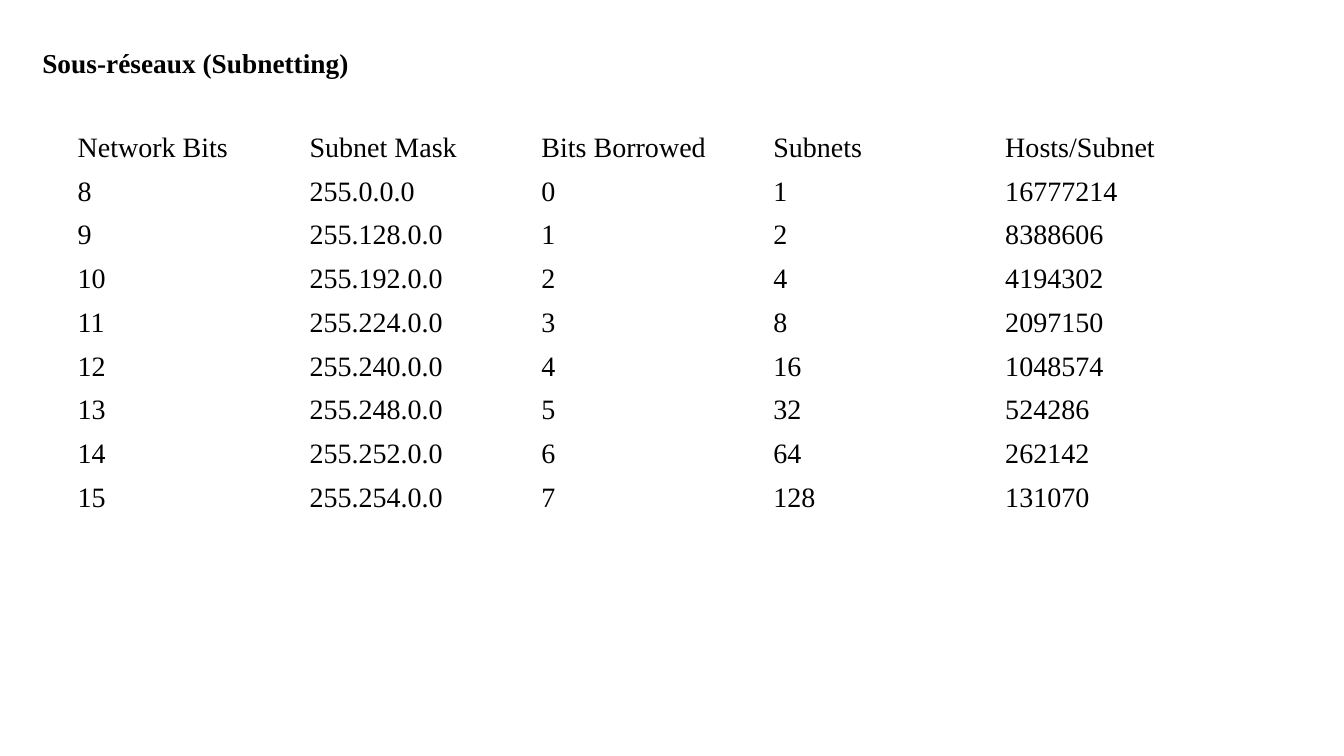
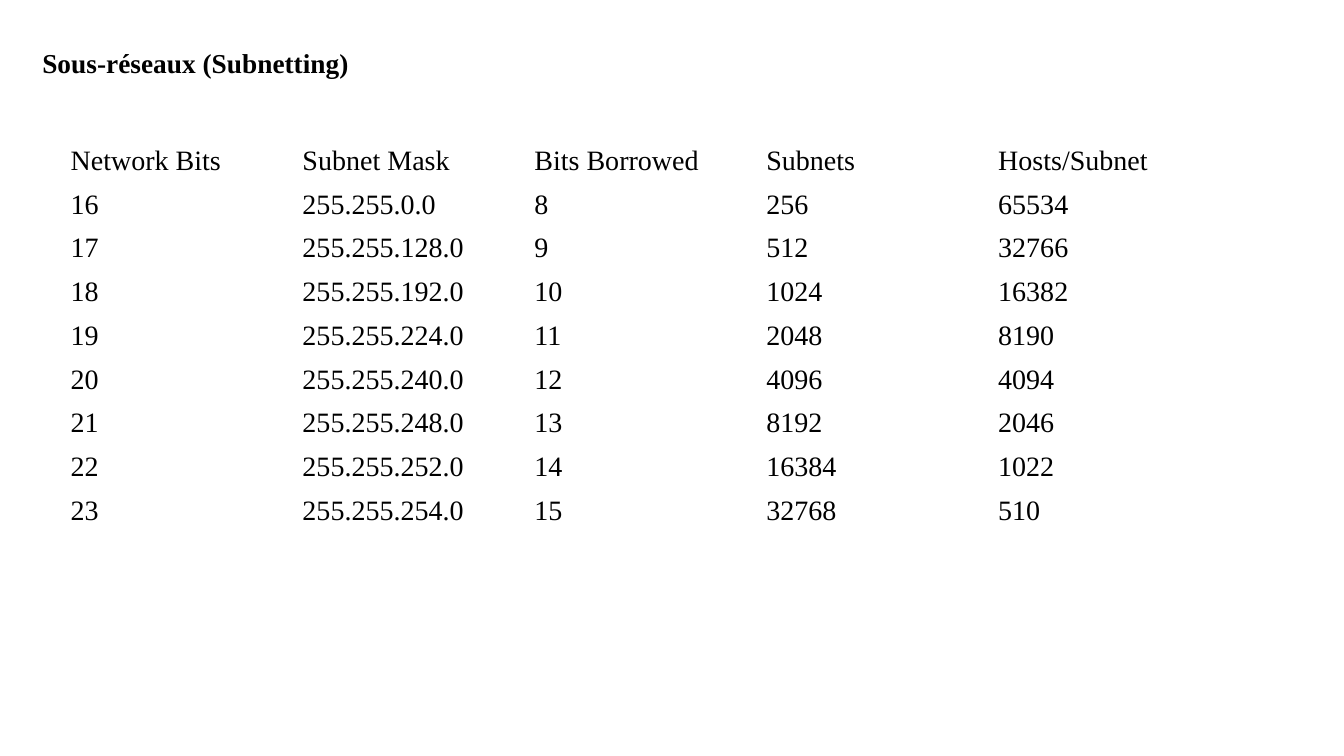
"""Build two slides of subnet tables for a class A network."""
from dataclasses import dataclass
from typing import Any

from pptx import Presentation as Deck
from pptx.dml.color import RGBColor as Color
from pptx.enum.text import MSO_VERTICAL_ANCHOR as Anchor
from pptx.util import Inches, Pt

BLACK = Color(0x00, 0x00, 0x00)
FACE = "Times New Roman"
TITLE = "Sous-réseaux (Subnetting)"
HEADS = ["Network Bits", "Subnet Mask", "Bits Borrowed", "Subnets", "Hosts/Subnet"]
BASE = 8
COUNT = 8
WIDTH = 11.5
HEIGHT = 3.6
HEAD_FONT = {"name": FACE, "size": Pt(19.5), "bold": True}
CELL_FONT = {"name": FACE, "size": Pt(20), "bold": False}
FRAME = {
    "word_wrap": True,
    "vertical_anchor": Anchor.MIDDLE,
    "margin_left": Inches(0),
    "margin_right": Inches(0.1),
    "margin_top": Inches(0.05),
    "margin_bottom": Inches(0.05),
}
PLAIN = {"first_row": False, "horz_banding": False}


@dataclass(frozen=True)
class Grid:
    """Place of a table and its first prefix length."""

    left: float
    top: float
    first: int


GRIDS = [Grid(0.67, 1.25, 8), Grid(0.6, 1.38, 16)]


def apply(item: Any, style: dict[str, Any]) -> None:
    """Set each format value on the item."""
    for key, value in style.items():
        setattr(item, key, value)


def write(para: Any, text: str, style: dict[str, Any]) -> None:
    """Add one styled run to a paragraph."""
    run = para.add_run()
    run.text = text
    apply(run.font, style)
    run.font.color.rgb = BLACK


def mask(bits: int) -> str:
    """Return the dotted mask of a prefix length."""
    return ".".join(str(part) for part in ((2**bits - 1) << (32 - bits)).to_bytes(4, "big"))


def values(bits: int) -> list[str]:
    """Return the table row of a prefix length."""
    lent = bits - BASE
    return [str(bits), mask(bits), str(lent), str(2**lent), str(2 ** (32 - bits) - 2)]


def add_title(slide: Any) -> None:
    """Add the shared title."""
    box = slide.shapes.add_textbox(Inches(0.42), Inches(0.46), Inches(WIDTH), Inches(0.38))
    apply(box.text_frame, FRAME)
    para = box.text_frame.paragraphs[0]
    para.line_spacing = 0.8
    write(para, TITLE, HEAD_FONT)


def add_grid(slide: Any, grid: Grid) -> None:
    """Add a plain table whose rows fit their text."""
    rows = [HEADS] + [values(grid.first + step) for step in range(COUNT)]
    frame = slide.shapes.add_table(
        len(rows), len(HEADS), Inches(grid.left), Inches(grid.top),
        Inches(WIDTH), Inches(HEIGHT),
    )
    table = frame.table
    apply(table, PLAIN)
    for y, row in enumerate(rows):
        table.rows[y].height = Inches(0)
        for x, text in enumerate(row):
            cell = table.cell(y, x)
            cell.fill.background()
            cell.vertical_anchor = Anchor.MIDDLE
            write(cell.text_frame.paragraphs[0], text, CELL_FONT)
    frame.height = Inches(HEIGHT)


def main() -> None:
    """Build and save the deck."""
    deck = Deck()
    apply(deck, {"slide_width": Inches(13.33), "slide_height": Inches(7.5)})
    for grid in GRIDS:
        slide = deck.slides.add_slide(deck.slide_layouts[6])
        add_title(slide)
        add_grid(slide, grid)
    deck.save("out.pptx")


if __name__ == "__main__":
    main()
